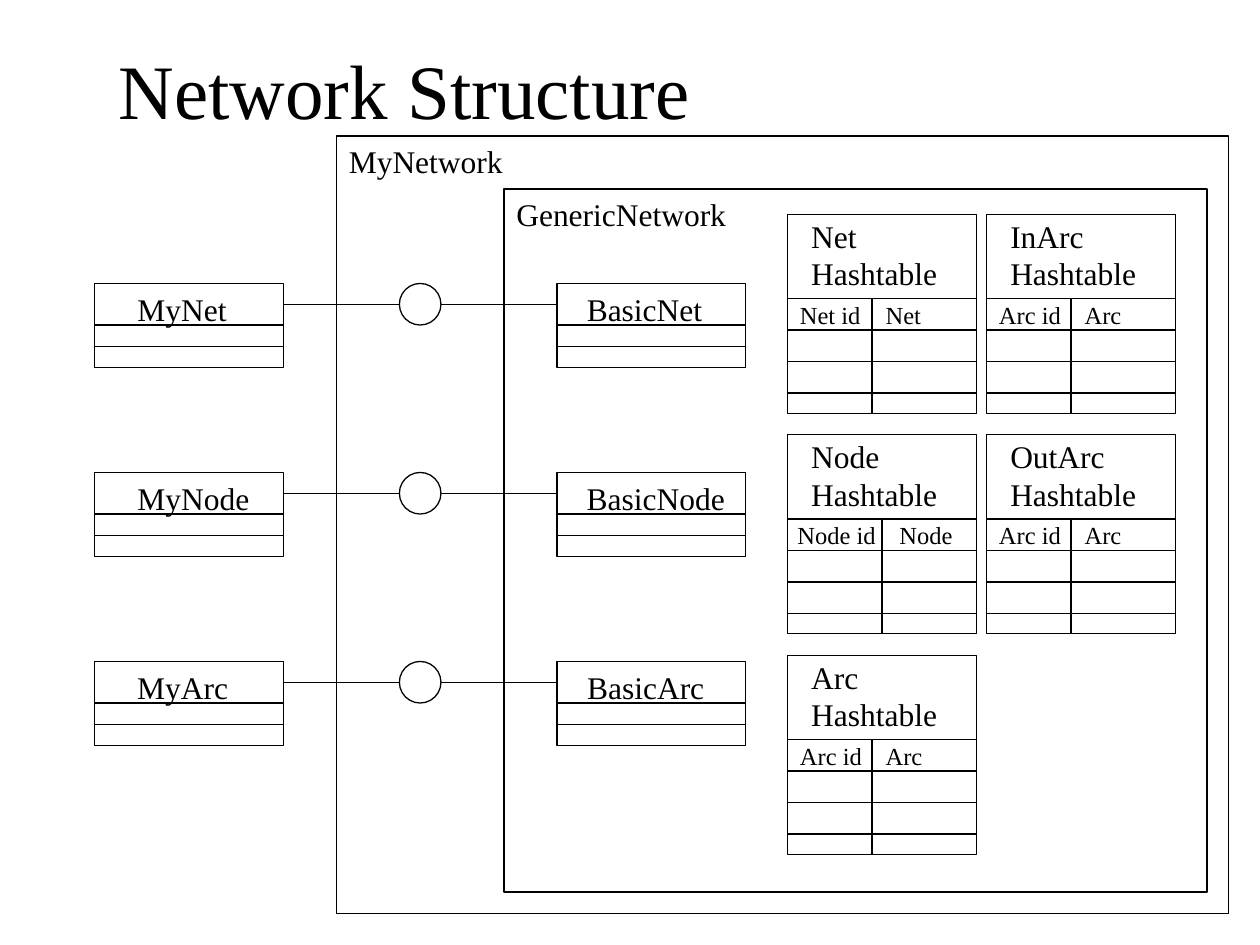
from dataclasses import dataclass
from typing import Any

import pptx
import pptx.dml.color
import pptx.enum.shapes
import pptx.enum.text
import pptx.oxml.ns
import pptx.util
from lxml import etree
from pptx.util import Inches

COLORS = {"ink": "000000"}
FONT = "Times New Roman"
LINE_WIDTH = 0.75
SHAPES = pptx.enum.shapes.MSO_SHAPE
ALIGN = pptx.enum.text.PP_ALIGN

ROW_TOPS = [2.25, 3.75, 5.25]
BOX_WIDTH = 1.5
CARD_HEIGHT = 0.67
MY_LEFT = 0.75
BASIC_LEFT = 4.42
CIRCLE_LEFT = 3.17
CIRCLE_SIZE = 0.33
HASH_LEFTS = [6.25, 7.83]
HASH_TOPS = [1.7, 3.45, 5.2]
HASH_HEIGHT = 1.58
HASH_HEAD = 0.67
HASH_ROW = 0.25


@dataclass
class Card:
    name: str
    left: float
    top: float
    text_inset: float
    text_width: float


@dataclass
class Hashtable:
    name: str
    key: str
    value: str
    column: int
    row: int
    header_shift: float = 0.0
    header_width: float = 1.22
    split: float = 0.67
    tab: float = 0.68


@dataclass
class Frame:
    name: str
    left: float
    top: float
    width: float
    height: float
    text_width: float


MY_CARDS = [
    Card(name, MY_LEFT, top, 0.22, width)
    for name, top, width in zip(["MyNet", "MyNode", "MyArc"], ROW_TOPS, [0.95, 1.13, 0.96])
]
BASIC_CARDS = [
    Card(name, BASIC_LEFT, top, 0.12, width)
    for name, top, width in zip(["BasicNet", "BasicNode", "BasicArc"], ROW_TOPS, [1.15, 1.33, 1.17])
]
FRAMES = [
    Frame("MyNetwork", 2.67, 1.08, 7.08, 6.17, 1.46),
    Frame("GenericNetwork", 4, 1.5, 5.58, 5.58, 1.9),
]
HASHTABLES = [
    Hashtable("Net", "Net id", "Net", 0, 0),
    Hashtable("Node", "Node id", "Node", 0, 1, -0.02, 1.48, 0.75, 0.81),
    Hashtable("Arc", "Arc id", "Arc", 0, 2),
    Hashtable("InArc", "Arc id", "Arc", 1, 0),
    Hashtable("OutArc", "Arc id", "Arc", 1, 1),
]


def rgb(name: str) -> pptx.dml.color.RGBColor:
    return pptx.dml.color.RGBColor.from_string(COLORS[name])


def style_line(line: Any) -> None:
    line.color.rgb = rgb("ink")
    line.width = pptx.util.Pt(LINE_WIDTH)


def write_text(frame: Any, text: str, *, size: float = 18, align: Any = ALIGN.LEFT,
               tab: float | None = None) -> None:
    for index, content in enumerate(text.split("\n")):
        para = frame.paragraphs[0] if index == 0 else frame.add_paragraph()
        para.alignment = align
        span = para.add_run()
        span.text = content
        span.font.name = FONT
        span.font.size = pptx.util.Pt(size)
        span.font.color.rgb = rgb("ink")
        if tab is not None:
            qn = pptx.oxml.ns.qn
            stops = etree.SubElement(para._p.get_or_add_pPr(), qn("a:tabLst"))
            etree.SubElement(stops, qn("a:tab"), pos=str(Inches(tab)), algn="l")


def add_label(shapes: Any, text: str, left: float, top: float, width: float, height: float,
              **text_format: Any) -> None:
    box = shapes.add_textbox(Inches(left), Inches(top), Inches(width), Inches(height))
    box.text_frame.word_wrap = False
    box.text_frame.auto_size = pptx.enum.text.MSO_AUTO_SIZE.SHAPE_TO_FIT_TEXT
    write_text(box.text_frame, text, **text_format)


def add_outline(shapes: Any, left: float, top: float, width: float, height: float,
                kind: Any = SHAPES.RECTANGLE) -> None:
    shape = shapes.add_shape(kind, Inches(left), Inches(top), Inches(width), Inches(height))
    shape.shadow.inherit = False
    shape.fill.background()
    style_line(shape.line)


def add_line(shapes: Any, x1: float, y1: float, x2: float, y2: float) -> None:
    line = shapes.add_connector(pptx.enum.shapes.MSO_CONNECTOR.STRAIGHT,
                                Inches(x1), Inches(y1), Inches(x2), Inches(y2))
    style_line(line.line)
    etree.SubElement(line._element.spPr, pptx.oxml.ns.qn("a:effectLst"))


def draw_card(page: Any, card: Card) -> None:
    shapes = page.shapes.add_group_shape().shapes
    add_outline(shapes, card.left, card.top, BOX_WIDTH, CARD_HEIGHT)
    add_label(shapes, card.name, card.left + card.text_inset, card.top, card.text_width, 0.4,
              align=ALIGN.CENTER)
    for offset in (0.33, 0.5):
        add_line(shapes, card.left, card.top + offset, card.left + BOX_WIDTH, card.top + offset)


def draw_frame(page: Any, frame: Frame) -> None:
    add_outline(page.shapes, frame.left, frame.top, frame.width, frame.height)
    add_label(page.shapes, frame.name, frame.left, frame.top, frame.text_width, 0.4)


def draw_link(page: Any, top: float) -> None:
    middle = top + CIRCLE_SIZE / 2
    add_outline(page.shapes, CIRCLE_LEFT, top, CIRCLE_SIZE, CIRCLE_SIZE, SHAPES.OVAL)
    add_line(page.shapes, MY_LEFT + BOX_WIDTH, middle, CIRCLE_LEFT, middle)
    add_line(page.shapes, CIRCLE_LEFT + CIRCLE_SIZE, middle, BASIC_LEFT, middle)


def draw_hashtable(page: Any, table: Hashtable) -> None:
    shapes = page.shapes.add_group_shape().shapes
    left, top = HASH_LEFTS[table.column], HASH_TOPS[table.row]
    head = top + HASH_HEAD
    add_outline(shapes, left, top, BOX_WIDTH, HASH_HEIGHT)
    add_label(shapes, f"{table.name}\nHashtable", left + 0.09, top - 0.03, 1.24, 0.7)
    add_label(shapes, f"{table.key}\t{table.value}", left + table.header_shift, head - 0.04,
              table.header_width, 0.34, size=14, tab=table.tab)
    for row in range(4):
        y = head + row * HASH_ROW
        add_line(shapes, left, y, left + BOX_WIDTH, y)
    add_line(shapes, left + table.split, head, left + table.split, top + HASH_HEIGHT)


def draw_title(page: Any, text: str) -> None:
    title = page.shapes.title
    title.left, title.top = Inches(0.5), Inches(0.33)
    title.width, title.height = Inches(5.42), Inches(0.75)
    title.text_frame.vertical_anchor = pptx.enum.text.MSO_ANCHOR.MIDDLE
    write_text(title.text_frame, text, size=44, align=ALIGN.CENTER)


def main() -> None:
    deck = pptx.Presentation()
    deck.slide_width, deck.slide_height = Inches(10), Inches(7.5)
    page = deck.slides.add_slide(deck.slide_layouts[5])
    draw_title(page, "Network Structure")
    for card in MY_CARDS:
        draw_card(page, card)
    for frame in FRAMES:
        draw_frame(page, frame)
    for card in BASIC_CARDS:
        draw_card(page, card)
    for top in ROW_TOPS:
        draw_link(page, top)
    for table in HASHTABLES:
        draw_hashtable(page, table)
    deck.save("out.pptx")


if __name__ == "__main__":
    main()
